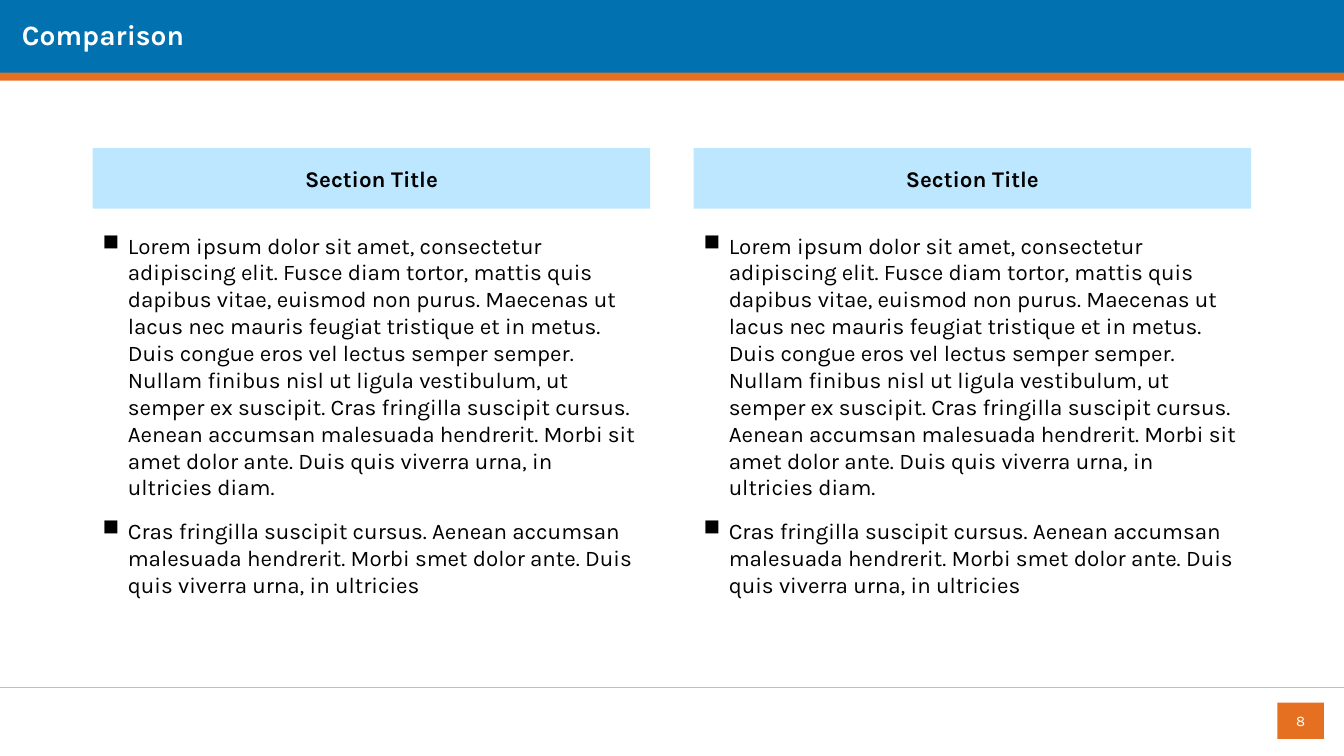
import pptx
import pptx.util
import pptx.dml.color
import pptx.enum.shapes
import pptx.enum.text
from lxml import etree
from pptx.oxml.ns import qn

WIDE, HIGH = 13.33, 7.5
FONT = "Karla"
BLUE, ORANGE, PALE, GREY = "0271AF", "E57022", "BDE7FE", "BFBFBF"
BLACK, WHITE = "000000", "FFFFFF"
LEFT = pptx.enum.text.PP_ALIGN.LEFT
CENTER = pptx.enum.text.PP_ALIGN.CENTER
TOP = pptx.enum.text.MSO_ANCHOR.TOP
MIDDLE = pptx.enum.text.MSO_ANCHOR.MIDDLE

POINTS = [
    "Lorem ipsum dolor sit amet, consectetur adipiscing elit. Fusce diam "
    "tortor, mattis quis dapibus vitae, euismod non purus. Maecenas ut lacus "
    "nec mauris feugiat tristique et in metus. Duis congue eros vel lectus "
    "semper semper. Nullam finibus nisl ut ligula vestibulum, ut semper ex "
    "suscipit. Cras fringilla suscipit cursus. Aenean accumsan malesuada "
    "hendrerit. Morbi sit amet dolor ante. Duis quis viverra urna, in "
    "ultricies diam.",
    "Cras fringilla suscipit cursus. Aenean accumsan malesuada hendrerit. "
    "Morbi smet dolor ante. Duis quis viverra urna, in ultricies",
]
SIDES = [("Section Title", POINTS), ("Section Title", POINTS)]


def color(code):
    return pptx.dml.color.RGBColor.from_string(code)


def inches(*sizes):
    return [pptx.util.Inches(size) for size in sizes]


def block(slide, box, fill):
    rect = pptx.enum.shapes.MSO_SHAPE.RECTANGLE
    shape = slide.shapes.add_shape(rect, *inches(*box))
    shape.shadow.inherit = False
    shape.fill.solid()
    shape.fill.fore_color.rgb = color(fill)
    shape.line.fill.background()
    return shape


def write(shape, texts, size, ink=BLACK, bold=False, align=LEFT,
          anchor=MIDDLE, mark=None):
    """Fill a shape with paragraphs, bulleted when a mark is given."""
    frame = shape.text_frame
    frame.word_wrap = True
    frame.vertical_anchor = anchor
    for i, text in enumerate(texts):
        para = frame.paragraphs[0] if i == 0 else frame.add_paragraph()
        para.alignment = align
        if i:
            para.space_before = pptx.util.Pt(12)
        if mark:
            props = para._p.get_or_add_pPr()
            indent = pptx.util.Inches(0.25)
            props.set("marL", str(indent))
            props.set("indent", str(-indent))
            etree.SubElement(props, qn("a:buChar")).set("char", mark)
        run = para.add_run()
        run.text = text
        run.font.name = FONT
        run.font.size = pptx.util.Pt(size)
        run.font.bold = bold
        run.font.color.rgb = color(ink)
    return frame


def header(slide, box, title):
    x, y, w, h = box
    strip = 0.08
    block(slide, (x, y + strip, w, h - strip), ORANGE)
    block(slide, (x, y, w, h - strip), BLUE)
    label = slide.shapes.add_textbox(*inches(x + 0.12, y + 0.09, 11.17, 0.54))
    frame = write(label, [title], 20, WHITE, True)
    frame.paragraphs[0].line_spacing = 0.9


def column(slide, box, title, points):
    x, y, w, h = box
    head, gap = 0.6, 0.18
    write(block(slide, (x, y, w, head), PALE), [title], 16, bold=True,
          align=CENTER)
    top = head + gap
    body = slide.shapes.add_textbox(*inches(x, y + top, w, h - top))
    write(body, points, 16, anchor=TOP, mark="■")


def columns(slide, box, sides):
    x, y, w, h = box
    gap = 0.43
    wide = (w - gap * (len(sides) - 1)) / len(sides)
    for i, (title, points) in enumerate(sides):
        column(slide, (x + i * (wide + gap), y, wide, h), title, points)


def footer(slide, box, number):
    x, y, w, h = box
    kind = pptx.enum.shapes.MSO_CONNECTOR.STRAIGHT
    rule = slide.shapes.add_connector(kind, *inches(x, y, x + w, y))
    rule.line.color.rgb = color(GREY)
    rule.line.width = pptx.util.Pt(0.5)
    etree.SubElement(rule._element.spPr, qn("a:effectLst"))
    badge = block(slide, (x + w - 0.66, y + 0.15, 0.46, 0.36), ORANGE)
    write(badge, [number], 10.5, WHITE, align=CENTER)


def main():
    deck = pptx.Presentation()
    deck.slide_width, deck.slide_height = inches(WIDE, HIGH)
    slide = deck.slides.add_slide(deck.slide_layouts[6])
    header(slide, (0, 0, WIDE, 0.8), "Comparison")
    columns(slide, (0.92, 1.47, WIDE - 2 * 0.92, 4.81), SIDES)
    footer(slide, (0, 6.82, WIDE, HIGH - 6.82), "8")
    deck.save("out.pptx")


if __name__ == "__main__":
    main()
